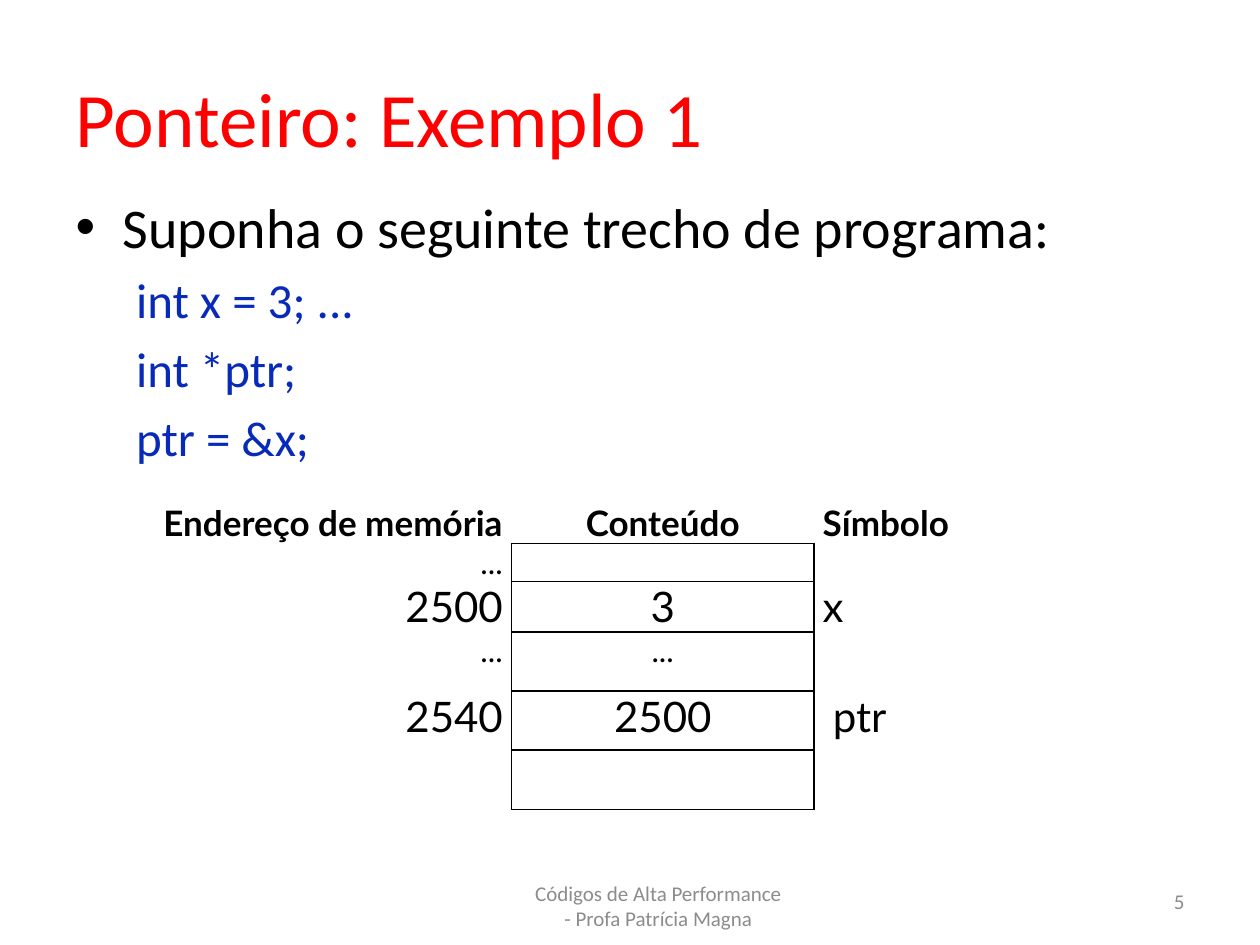
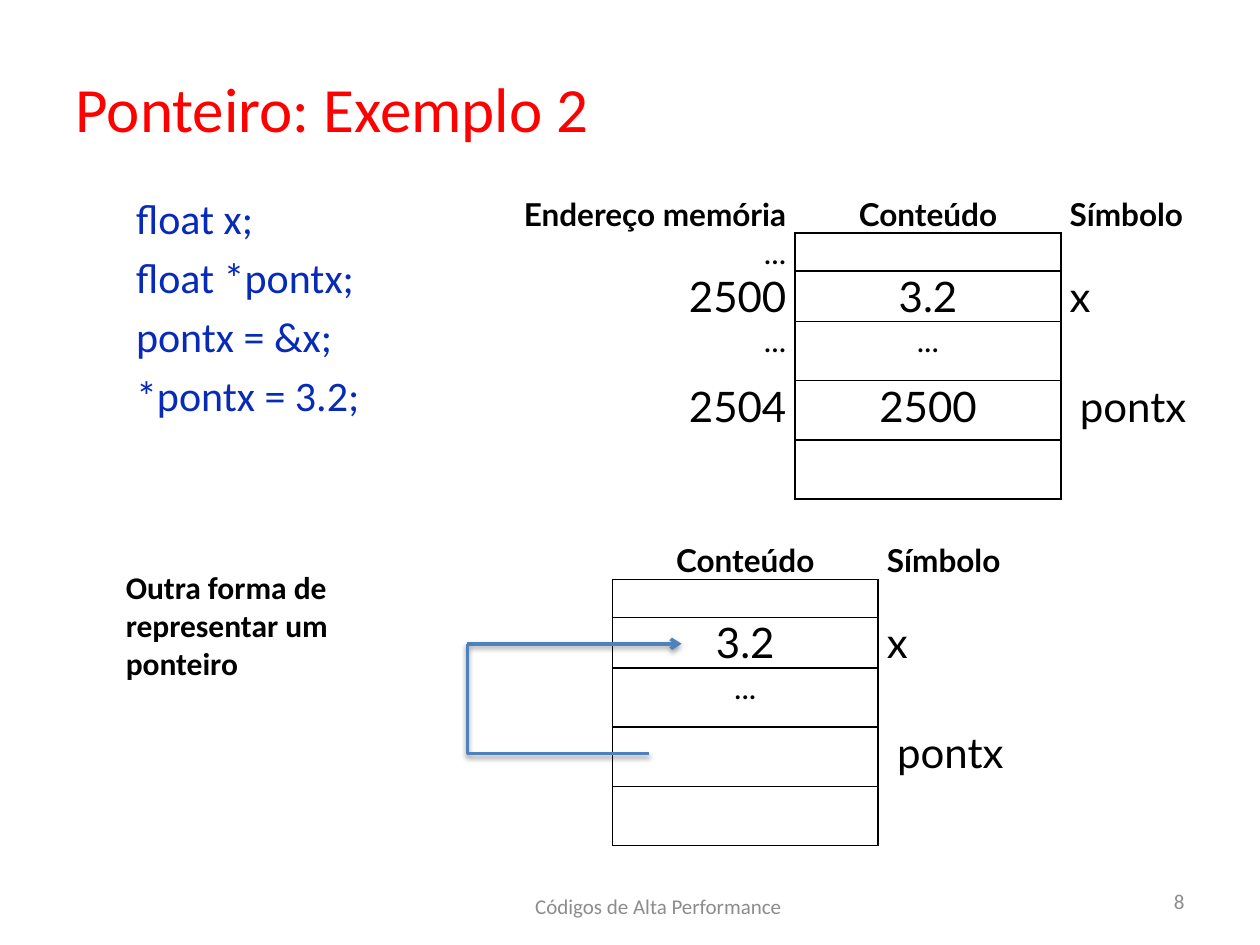
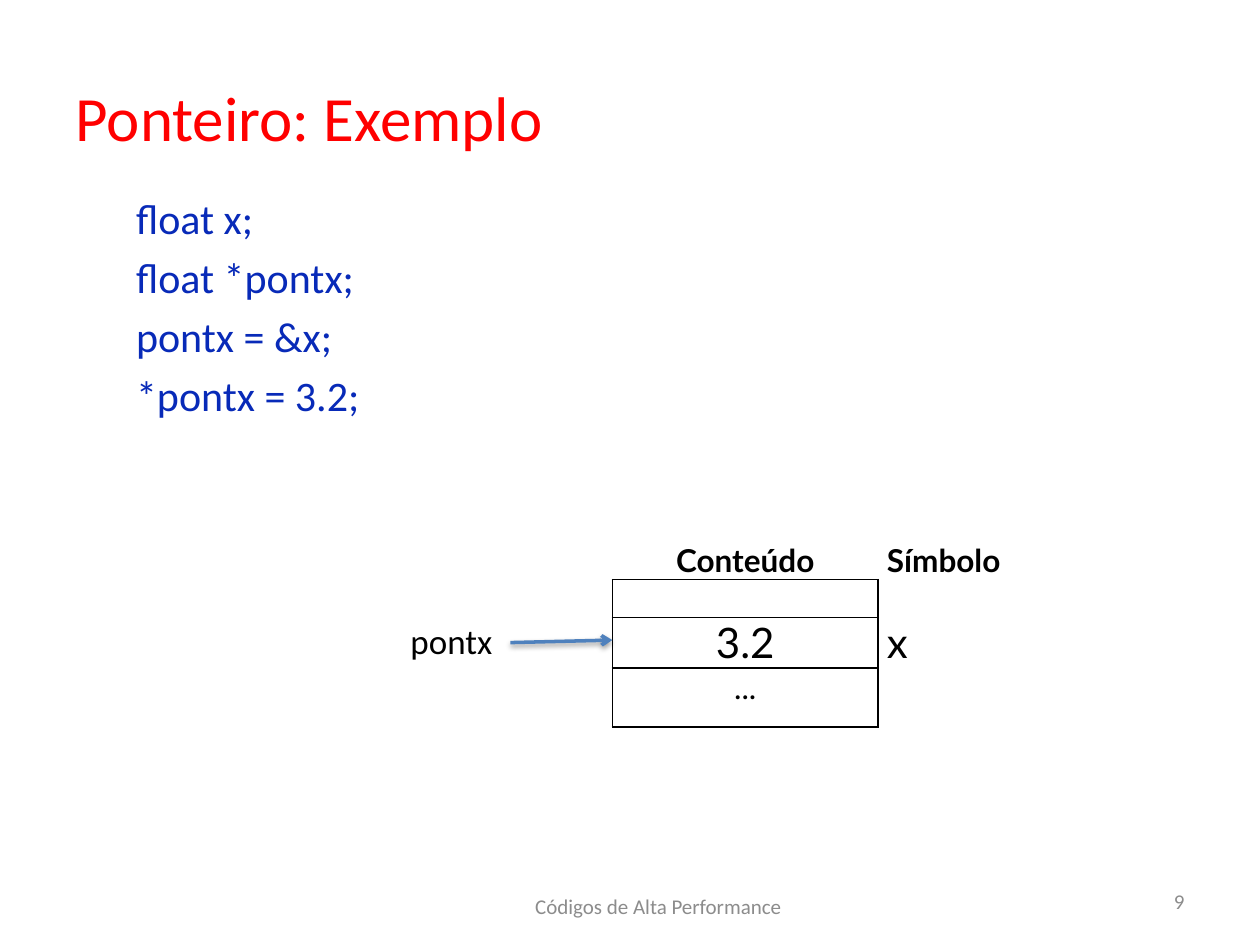
from dataclasses import dataclass

from lxml import etree
from pptx import Presentation
from pptx.dml.color import RGBColor
from pptx.enum.shapes import MSO_CONNECTOR as Link
from pptx.enum.text import MSO_ANCHOR as Anchor, PP_ALIGN as Align
from pptx.oxml.ns import qn
from pptx.util import Inches, Pt

# The slide is a grid of 100 columns and 75 rows.
WIDTH, HEIGHT = Inches(10), Inches(7.5)
COL, ROW = WIDTH // 100, HEIGHT // 75

RED, BLACK, CODE, GRAY, ARROW = "FF0000", "000000", "082AB8", "8C8C8C", "4F81BD"
TEXT_FONT, TABLE_FONT = "Calibri", "Lato"
NO_STYLE = "{2D5ABB26-0587-4C30-8999-92F81FD0307C}"

ADDRESS_ALIGN = [Align.RIGHT, Align.CENTER, Align.LEFT]
HEADER_ALIGN = [Align.RIGHT, Align.CENTER, Align.JUSTIFY]
MEMORY_ROWS = [1.6, 2.9, 3.7, 4.7, 4.7, 4.7]

FLOAT_CODE = ["float x;", "float *pontx;", "pontx = &x;", "*pontx = 3.2;"]
COURSE = "Códigos de Alta Performance"


@dataclass
class Box:
    """An area in grid columns and rows."""
    left: float
    top: float
    width: float
    height: float

    def emu(self):
        return (int(self.left * COL), int(self.top * ROW),
                int(self.width * COL), int(self.height * ROW))

    def point(self, across, down):
        """The place at the given shares of the box."""
        return (int((self.left + across * self.width) * COL),
                int((self.top + down * self.height) * ROW))


BODY = Box(5, 14.8, 90, 52.2)
FOOTER = Box(34.2, 68.8, 36.1, 6.2)
NUMBER = Box(71.7, 69.5, 23.3, 4)
POINTER_MEMORY = Box(48.6, 43, 46.1, 24)


def rgb(color):
    return RGBColor.from_string(color)


def style(paragraph, size, color, bold=False, font=TEXT_FONT, align=Align.LEFT):
    paragraph.alignment = align
    paragraph.font.size = Pt(size)
    paragraph.font.bold = bold
    paragraph.font.name = font
    paragraph.font.color.rgb = rgb(color)


def place(shape, box):
    shape.left, shape.top, shape.width, shape.height = box.emu()


def fill_lines(frame, lines, *look, **more):
    frame.text = "\n".join(lines)
    for paragraph in frame.paragraphs:
        style(paragraph, *look, **more)


def add_label(slide, box, lines, size, color, anchor=Anchor.TOP, wrap=True, **look):
    frame = slide.shapes.add_textbox(*box.emu()).text_frame
    frame.word_wrap = wrap
    frame.vertical_anchor = anchor
    fill_lines(frame, lines, size, color, **look)


def add_title(slide, text, size, top):
    title = slide.shapes.title
    place(title, Box(5, top, 76.3, 12.5))
    title.text_frame.vertical_anchor = Anchor.MIDDLE
    fill_lines(title.text_frame, [text], size, RED)


def add_code(slide, code, size, intro=()):
    """Fill the body with a bulleted intro and indented lines of code."""
    body = slide.placeholders[1]
    place(body, BODY)
    body.text_frame.text = "\n".join([*intro, *code])
    for index, paragraph in enumerate(body.text_frame.paragraphs):
        if index < len(intro):
            style(paragraph, 32, BLACK)
            continue
        style(paragraph, size, CODE)
        properties = paragraph._p.get_or_add_pPr()
        properties.set("marL", str(Inches(0.88)))
        properties.set("indent", str(Inches(-0.4)))
        etree.SubElement(properties, qn("a:buNone"))


def add_footer(slide, number, lines):
    add_label(slide, FOOTER, lines, 12, GRAY, Anchor.MIDDLE, align=Align.CENTER)
    add_label(slide, NUMBER, [number], 12, GRAY, Anchor.MIDDLE, align=Align.RIGHT)


def outline(cell):
    properties = cell._tc.get_or_add_tcPr()
    for side in ("a:lnL", "a:lnR", "a:lnT", "a:lnB"):
        border = etree.SubElement(properties, qn(side), w=str(Pt(1)))
        solid = etree.SubElement(border, qn("a:solidFill"))
        etree.SubElement(solid, qn("a:srgbClr"), val=BLACK)


def add_memory(slide, box, columns, header_size, rows):
    """Draw memory cells; only the content column is outlined."""
    first = 3 - len(columns)
    table_frame = slide.shapes.add_table(len(rows), len(columns), *box.emu())
    table = table_frame.table
    table.first_row = table.horz_banding = False
    table._tbl.tblPr.find(qn("a:tableStyleId")).text = NO_STYLE
    for column, width in zip(table.columns, columns):
        column.width = int(width * COL)
    for r, (values, height) in enumerate(zip(rows, MEMORY_ROWS)):
        table.rows[r].height = int(height * ROW)
        for c, value in enumerate(values):
            cell, part = table.cell(r, c), c + first
            cell.margin_left = cell.margin_right = Inches(0.07)
            cell.margin_top = cell.margin_bottom = 0
            if value.startswith("p"):
                cell.margin_left = Inches(0.15)
            if r and part == 1:
                outline(cell)
            cell.fill.background()
            cell.text = value
            paragraph = cell.text_frame.paragraphs[0]
            if r == 0:
                style(paragraph, header_size, BLACK, True, TABLE_FONT, HEADER_ALIGN[part])
                continue
            is_value = value not in ("", "...")
            style(paragraph, 24 if is_value else 18, BLACK,
                  font=TABLE_FONT, align=ADDRESS_ALIGN[part])
            if is_value:
                paragraph.space_before = Pt(6)


def add_link(shapes, kind, start, end, head=False):
    link = shapes.add_connector(kind, *start, *end)
    link.line.width = Pt(2)
    link.line.color.rgb = rgb(ARROW)
    if head:
        etree.SubElement(link.line._get_or_add_ln(), qn("a:tailEnd"), type="arrow")
    effects = etree.SubElement(link._element.spPr, qn("a:effectLst"))
    shadow = etree.SubElement(effects, qn("a:outerShdw"), blurRad=str(Pt(3.1)),
                              dist=str(Pt(1.6)), dir="5400000", rotWithShape="0")
    shade = etree.SubElement(shadow, qn("a:srgbClr"), val=BLACK)
    etree.SubElement(shade, qn("a:alpha"), val="38000")
    return link


def add_pointer_loop(slide, box):
    """Lead from the pointer's cell, out to the left, back to the value's cell."""
    loop = slide.shapes.add_group_shape().shapes
    add_link(loop, Link.CURVE, box.point(0, 0), box.point(1, 0), head=True)
    elbow = add_link(loop, Link.ELBOW, box.point(0.85, 1), box.point(0, 0))
    guides = elbow._element.spPr.find(qn("a:prstGeom")).find(qn("a:avLst"))
    etree.SubElement(guides, qn("a:gd"), name="adj1", fmla="val 100000")


def memory_rows(value, address, pointer, title):
    return [(title, "Conteúdo", "Símbolo"), ("...", "", ""), ("2500", value, "x"),
            ("...", "...", ""), (address, "2500", pointer), ("", "", "")]


def build_first_example(slide):
    add_title(slide, "Ponteiro: Exemplo 1", 44, 3)
    add_code(slide, ["int x = 3; ...", "int *ptr;", "ptr = &x;"], 28,
             ["Suponha o seguinte trecho de programa:"])
    add_footer(slide, "5", [COURSE, "- Profa Patrícia Magna"])
    add_memory(slide, Box(7.8, 39.8, 85.2, 24.3), [32.8, 24, 28.4], 20,
               memory_rows("3", "2540", "ptr", "Endereço de memória"))


def build_second_example(slide):
    add_title(slide, "Ponteiro: Exemplo 2", 36, 2.3)
    add_code(slide, FLOAT_CODE, 24)
    add_footer(slide, "8", [COURSE])
    rows = memory_rows("3.2", "2504", "pontx", "Endereço memória")
    add_memory(slide, Box(34.1, 15.5, 75.1, 24), [29, 21.1, 25], 18, rows)
    arrow_rows = [row[1:] for row in rows]
    arrow_rows[4] = ("", "pontx")
    add_memory(slide, POINTER_MEMORY, [21.1, 25], 18, arrow_rows)
    add_pointer_loop(slide, Box(37.1, 51.1, 17, 8.7))
    add_label(slide, Box(9, 44.6, 19.4, 10.1),
              ["Outra forma de", "representar um ponteiro"], 18, BLACK, bold=True)


def build_short_example(slide):
    add_title(slide, "Ponteiro: Exemplo", 36, 3)
    add_code(slide, FLOAT_CODE, 24)
    add_footer(slide, "9", [COURSE])
    rows = memory_rows("3.2", "", "", "")[:4]
    box = POINTER_MEMORY
    add_memory(slide, Box(box.left, box.top, box.width, 14.7), [21.1, 25], 18,
               [row[1:] for row in rows])
    arrow = Box(40.5, 50.8, 8.1, 0.2)
    add_link(slide.shapes, Link.STRAIGHT, arrow.point(0, 1), arrow.point(1, 0), head=True)
    add_label(slide, Box(31.6, 48.7, 8.6, 4.4), ["pontx"], 20, BLACK, wrap=False)


def main():
    deck = Presentation()
    deck.slide_width, deck.slide_height = WIDTH, HEIGHT
    for build in (build_first_example, build_second_example, build_short_example):
        build(deck.slides.add_slide(deck.slide_layouts[1]))
    deck.save("out.pptx")


if __name__ == "__main__":
    main()
